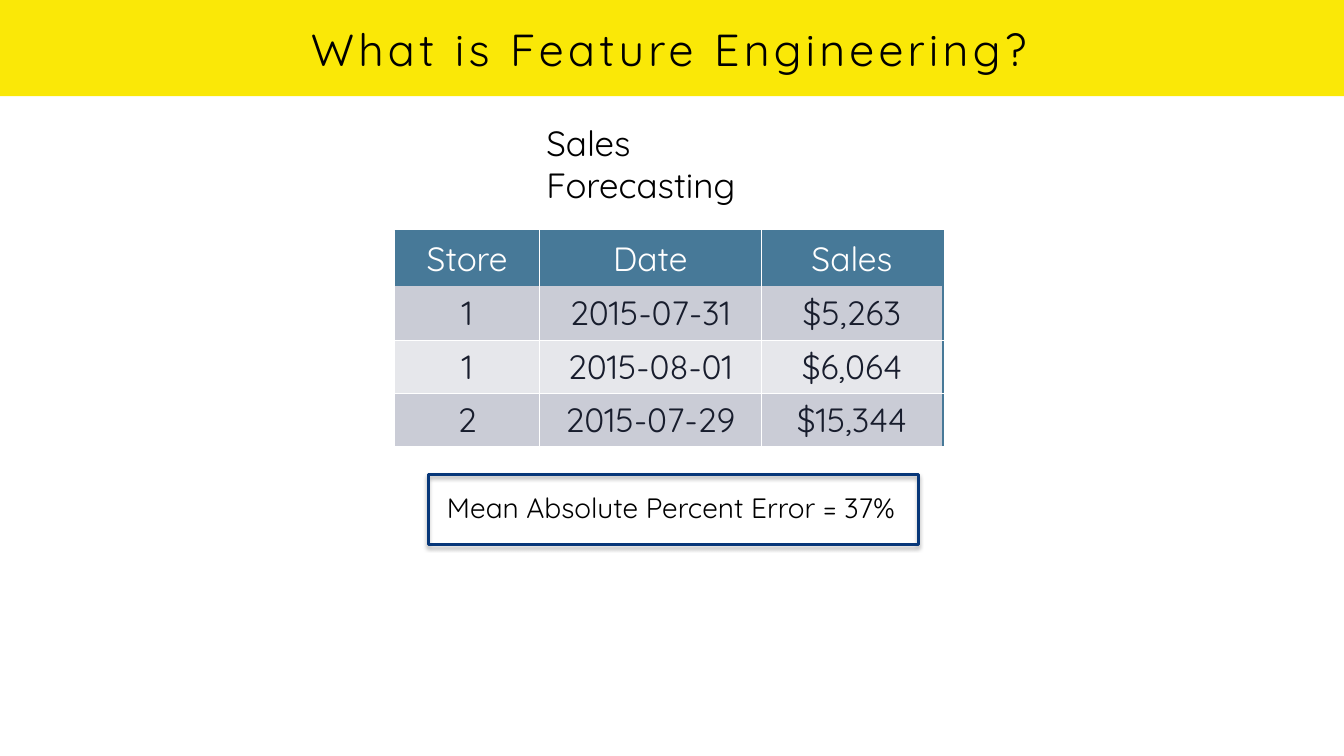
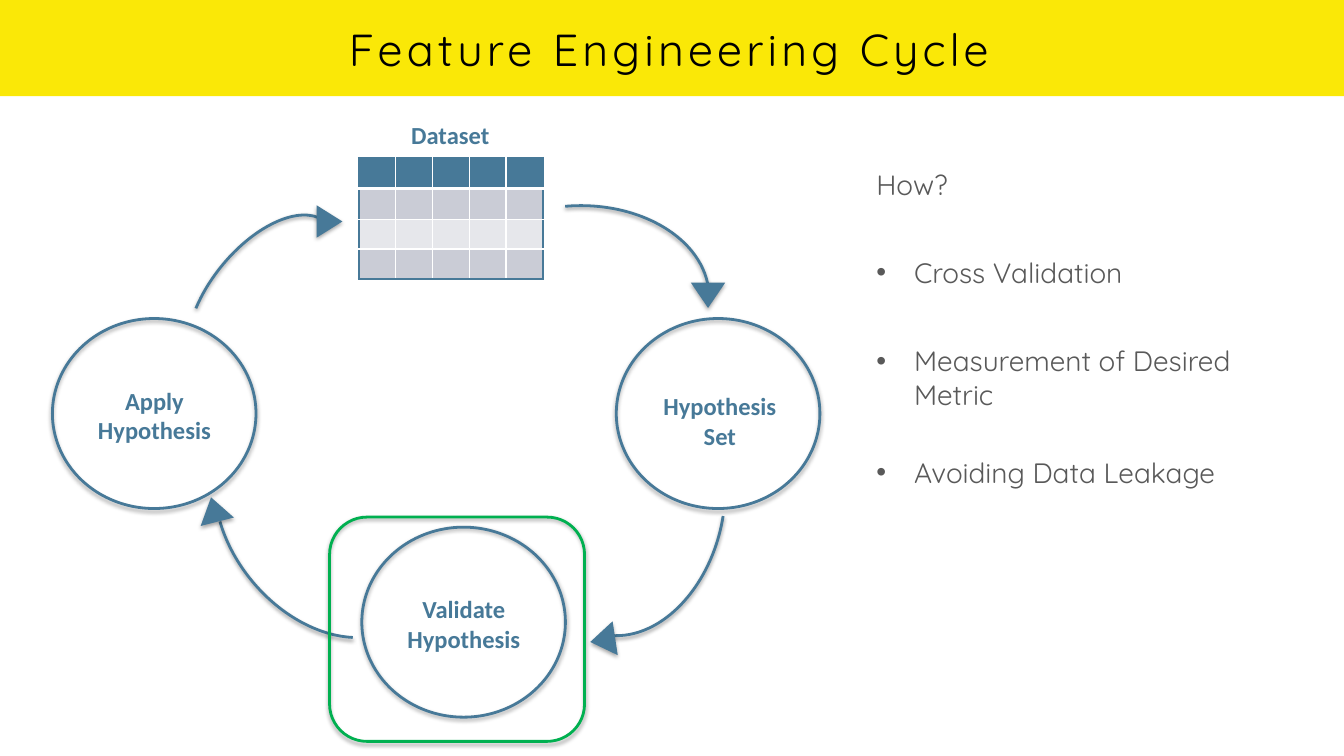
from pptx import Presentation
from pptx.dml.color import RGBColor
from pptx.enum.shapes import MSO_SHAPE as SHAPE
from pptx.enum.text import MSO_ANCHOR as ANCHOR, PP_ALIGN as ALIGN
from pptx.oxml import parse_xml
from pptx.oxml.ns import nsdecls, qn
from pptx.util import Inches, Pt


class Theme:
    yellow, white, black = "FAE807", "FFFFFF", "000000"
    steel, navy, green = "477998", "073779", "00B050"
    band_dark, band_light = "CACCD6", "E6E7EB"
    ink, grey = "181D2D", "595959"
    font, label_font = "Quicksand", "Calibri"
    title, subtitle, cell, body, label = 64, 50, 48, 40, 35
    outline = 4
    no_table_style = "{2D5ABB26-0587-4C30-8999-92F81FD0307C}"


# Content; boxes are left, top, width, height in inches
BAND = (-0.01, 0, 26.69, 1.91)
TITLE_BOX = (0.6, -0.01, 25.36, 1.93)

FORECAST_TITLE = "What is Feature Engineering?"
SUBTITLE = ("Sales Forecasting", (10.84, 2.77, 5.52, 0.95))
SALES = [
    ("Store", "Date", "Sales"),
    ("1", "2015-07-31", "$5,263"),
    ("1", "2015-08-01", "$6,064"),
    ("2", "2015-07-29", "$15,344"),
]
SALES_AT, SALES_COLS, SALES_ROWS = (7.83, 4.59), (2.88, 4.39, 3.61), (1.08, 1.08, 1.05, 1.05)
ERROR = ("Mean Absolute Percent Error = 37%", (8.87, 9.68, 9.28, 0.79))
ERROR_FRAME = (8.5, 9.42, 9.72, 1.39)

CYCLE_TITLE = "Feature Engineering Cycle"
DATASET = ("Dataset", (8.09, 2.32, 1.69, 0.7))
DATASET_AT, DATASET_COLS, DATASET_ROWS = (7.12, 3.13), (0.73,) * 5, (0.61, 0.61, 0.59, 0.59)
STEP_SIZE, LABEL_SIZE = (4.04, 3.77), (2.49, 1.29)
STEPS = [  # text, circle left and top, label left and top
    ("Hypothesis\nSet", (12.23, 6.32), (13.04, 7.7)),
    ("Validate\nHypothesis", (7.18, 10.46), (7.96, 11.73)),
    ("Apply\nHypothesis", (1.04, 6.32), (1.82, 7.59)),
]
ARCS = [  # box, rotation, start and end angle
    ((8.99, 4.08, 5.08, 3.62), 0, (260.07, 355.75)),
    ((9.99, 8.3, 5.08, 3.62), 104, (260.07, 355.75)),
    ((3.86, 8.57, 5.08, 3.62), 230.2, (204.98, 310.77)),
    ((3.21, 4.9, 4, 2.12), 308.8, (224.43, 355.29)),
]
ARROWHEADS = [  # box, rotation
    ((6.22, 4.14, 0.64, 0.51), 90),
    ((13.71, 5.61, 0.68, 0.5), 180),
    ((11.62, 12.45, 0.68, 0.5), 261.4),
    ((3.91, 9.86, 0.68, 0.5), 345.7),
]
HIGHLIGHT = (6.54, 10.26, 5.06, 4.45)
HOW_BOX = (17.29, 3.22, 8.43, 10.83)
HOW = [  # text, bulleted, space before in points
    ("How?", False, 0),
    ("Cross Validation", True, 78),
    ("Measurement of Desired Metric", True, 78),
    ("Avoiding Data Leakage", True, 63),
]


def rgb(color):
    return RGBColor.from_string(color)


def inches(values):
    return [Inches(v) for v in values]


def style(p, size, color, font=Theme.font, bold=False, align=None):
    p.alignment = align
    for r in p.runs:
        r.font.size, r.font.name, r.font.bold = Pt(size), font, bold
        r.font.color.rgb = rgb(color)


def add_shape(s, kind, box, fill=None, line=None, shadow=35, rotation=0):
    """Add a preset shape; shadow is the opacity in percent, 0 for none."""
    sp = s.shapes.add_shape(kind, *inches(box))
    sp.rotation = rotation
    if fill:
        sp.fill.solid()
        sp.fill.fore_color.rgb = rgb(fill)
    else:
        sp.fill.background()
    if line:
        sp.line.color.rgb = rgb(line)
        sp.line.width = Pt(Theme.outline)
    else:
        sp.line.fill.background()
    sp.shadow.inherit = False
    if shadow:
        sp.element.spPr.find(qn("a:effectLst")).append(parse_xml(
            f'<a:outerShdw {nsdecls("a")} blurRad="{Pt(6)}" dist="{Pt(3)}" dir="5400000" '
            f'rotWithShape="0"><a:srgbClr val="{Theme.black}">'
            f'<a:alpha val="{shadow * 1000}"/></a:srgbClr></a:outerShdw>'))
    return sp


def add_text(s, text, box, size, color, **look):
    tf = s.shapes.add_textbox(*inches(box)).text_frame
    tf.word_wrap = True
    tf.vertical_anchor = ANCHOR.MIDDLE
    tf.margin_left = tf.margin_right = tf.margin_top = tf.margin_bottom = 0
    tf.text = text
    for p in tf.paragraphs:
        style(p, size, color, **look)


def add_label(s, text, box):
    add_text(s, text, box, Theme.label, Theme.steel, font=Theme.label_font,
             bold=True, align=ALIGN.CENTER)


def set_borders(cell, borders):
    """Draw borders given as {side: (color, width)}, in schema order L, R, T, B."""
    for side in "LRTB":
        if side in borders:
            color, width = borders[side]
            cell._tc.get_or_add_tcPr().append(parse_xml(
                f'<a:ln{side} {nsdecls("a")} w="{Pt(width)}"><a:solidFill>'
                f'<a:srgbClr val="{color}"/></a:solidFill></a:ln{side}>'))


def add_banded_table(s, at, cols, rows, grid, header_rule, outer, texts=None):
    """Add a table with white inner rules and steel rules on the outer sides."""
    size = (sum(cols), sum(rows))
    table = s.shapes.add_table(len(rows), len(cols), *inches(at + size)).table
    table._tbl.tblPr.find(qn("a:tableStyleId")).text = Theme.no_table_style
    for col, width in zip(table.columns, cols):
        col.width = Inches(width)
    for row, height in zip(table.rows, rows):
        row.height = Inches(height)
    fills = [Theme.steel, Theme.band_dark, Theme.band_light, Theme.band_dark]
    for i, fill in enumerate(fills):
        for j in range(len(cols)):
            cell = table.cell(i, j)
            edges = {"L": j == 0, "R": j == len(cols) - 1,
                     "T": i == 0, "B": i == len(rows) - 1}
            borders = {}
            for side, is_outer in edges.items():
                under_header = (i, side) in ((0, "B"), (1, "T"))
                width = header_rule if under_header else grid
                if is_outer and side in outer:
                    borders[side] = (Theme.steel, 3)
                elif not is_outer and width:
                    borders[side] = (Theme.white, width)
            set_borders(cell, borders)
            cell.fill.solid()
            cell.fill.fore_color.rgb = rgb(fill)
            if texts:
                cell.margin_left = cell.margin_right = 0
                cell.margin_top = cell.margin_bottom = 0
                cell.vertical_anchor = ANCHOR.MIDDLE
                cell.text = texts[i][j]
                style(cell.text_frame.paragraphs[0], Theme.cell,
                      Theme.ink if i else Theme.white, align=ALIGN.CENTER)


def add_slide(prs, title):
    s = prs.slides.add_slide(prs.slide_layouts[5])
    sp = s.shapes.title
    sp.left, sp.top, sp.width, sp.height = inches(TITLE_BOX)
    tf = sp.text_frame
    tf.text = title
    tf.vertical_anchor = ANCHOR.MIDDLE
    p = tf.paragraphs[0]
    style(p, Theme.title, Theme.black, align=ALIGN.CENTER)
    p.runs[0].font._element.set("spc", "600")
    return s


def add_master_band(prs, s):
    """Draw the title band and move it behind everything on the slide master."""
    band = add_shape(s, SHAPE.RECTANGLE, BAND, fill=Theme.yellow, shadow=0)
    prs.slide_master.shapes.element.insert(2, band.element)


def add_how_list(s):
    tf = s.shapes.add_textbox(*inches(HOW_BOX)).text_frame
    tf.word_wrap = True
    tf.margin_left = tf.margin_right = tf.margin_top = tf.margin_bottom = Inches(0.1)
    tf.text = "\n".join(text for text, _, _ in HOW)
    for p, (_, bulleted, before) in zip(tf.paragraphs, HOW):
        if bulleted:
            pPr = p._p.get_or_add_pPr()
            pPr.set("marL", str(Inches(0.75)))
            pPr.set("indent", str(-Inches(0.75)))
            pPr.append(parse_xml(f'<a:buFont {nsdecls("a")} typeface="Arial"/>'))
            pPr.append(parse_xml(f'<a:buChar {nsdecls("a")} char="•"/>'))
        if before:
            p.space_before = Pt(before)
        style(p, Theme.body, Theme.grey)


def build_forecast(s):
    add_banded_table(s, SALES_AT, SALES_COLS, SALES_ROWS, grid=1, header_rule=0,
                     outer="TR", texts=SALES)
    add_text(s, *SUBTITLE, Theme.subtitle, Theme.black)
    add_text(s, *ERROR, Theme.body, Theme.black)
    add_shape(s, SHAPE.RECTANGLE, ERROR_FRAME, line=Theme.navy)


def build_cycle(s):
    add_banded_table(s, DATASET_AT, DATASET_COLS, DATASET_ROWS, grid=2, header_rule=6,
                     outer="LRTB")
    add_label(s, *DATASET)
    for text, circle_at, label_at in STEPS:
        add_shape(s, SHAPE.OVAL, circle_at + STEP_SIZE, line=Theme.steel)
        add_label(s, text, label_at + LABEL_SIZE)
    for box, rotation, angles in ARCS:
        arc = add_shape(s, SHAPE.ARC, box, line=Theme.steel, shadow=38, rotation=rotation)
        for k, angle in enumerate(angles):
            arc.adjustments[k] = angle * 0.6  # 60000 units a degree, scaled by 100000
    for box, rotation in ARROWHEADS:
        add_shape(s, SHAPE.ISOSCELES_TRIANGLE, box, fill=Theme.steel, rotation=rotation)
    add_shape(s, SHAPE.ROUNDED_RECTANGLE, HIGHLIGHT, line=Theme.green)
    add_how_list(s)


def main():
    prs = Presentation()
    prs.slide_width, prs.slide_height = Inches(26.67), Inches(15)
    forecast = add_slide(prs, FORECAST_TITLE)
    add_master_band(prs, forecast)
    build_forecast(forecast)
    build_cycle(add_slide(prs, CYCLE_TITLE))
    prs.save("out.pptx")


if __name__ == "__main__":
    main()
